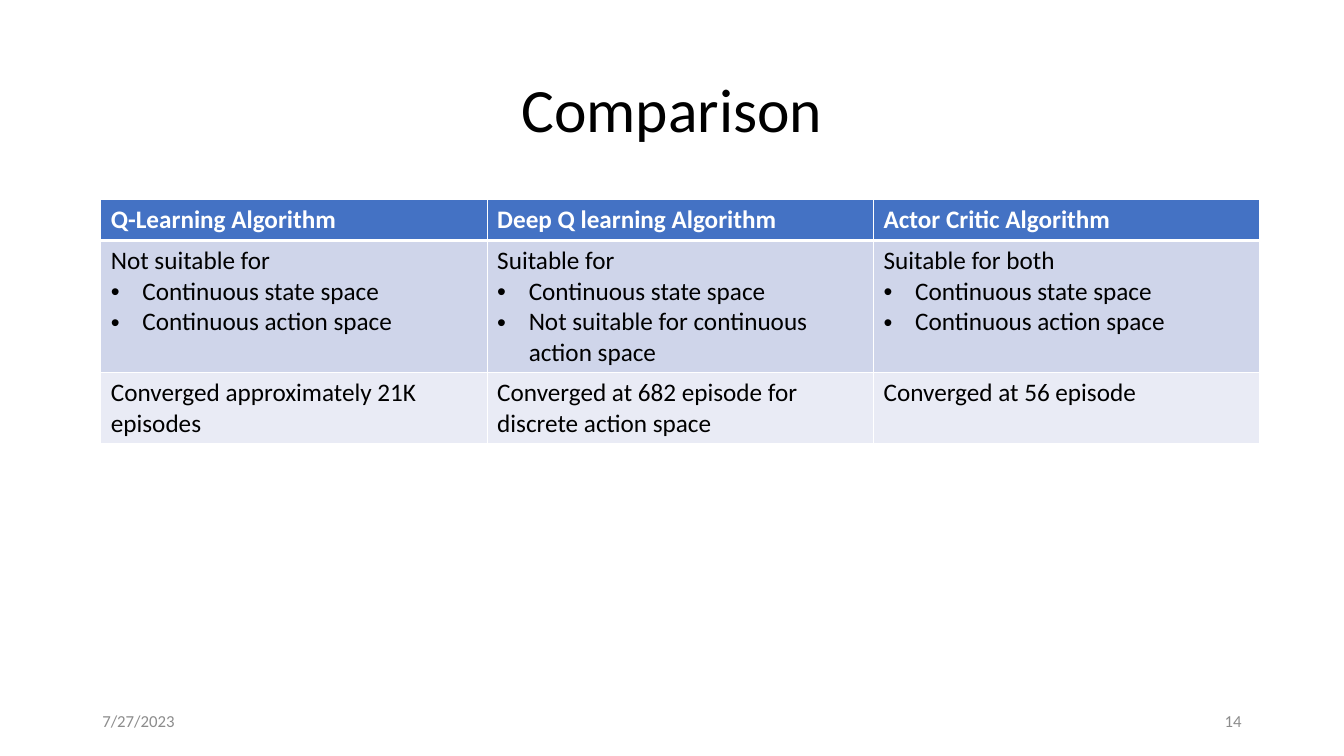
from lxml.etree import SubElement
from pptx import Presentation
from pptx.dml.color import RGBColor
from pptx.enum.text import MSO_ANCHOR, PP_ALIGN
from pptx.oxml.ns import qn
from pptx.util import Pt

PX = 9525
FONT = "Calibri"
BLACK = RGBColor(0x00, 0x00, 0x00)
WHITE = RGBColor(0xFF, 0xFF, 0xFF)
GRAY = RGBColor(0x8C, 0x8C, 0x8C)
HEADER_BLUE = RGBColor(0x44, 0x72, 0xC4)
BAND_DARK = RGBColor(0xCF, 0xD5, 0xEA)
BAND_LIGHT = RGBColor(0xE9, 0xEB, 0xF5)

BULLET = "• "
INDENT = 30
COLUMN_WIDTH = 368
ROW_HEIGHTS = [39, 126, 66]
ROW_FILLS = [HEADER_BLUE, BAND_DARK, BAND_LIGHT]
ROWS = [
    [
        ["Q-Learning Algorithm"],
        ["Deep Q learning Algorithm"],
        ["Actor Critic Algorithm"],
    ],
    [
        ["Not suitable for", "• Continuous state space", "• Continuous action space"],
        ["Suitable for", "• Continuous state space",
         "• Not suitable for continuous action space"],
        ["Suitable for both", "• Continuous state space", "• Continuous action space"],
    ],
    [
        ["Converged approximately 21K episodes"],
        ["Converged at 682 episode for discrete action space"],
        ["Converged at 56 episode"],
    ],
]


def px(n):
    return n * PX


def format_runs(p, size, color, bold=False):
    for r in p.runs:
        r.font.name = FONT
        r.font.size = Pt(size)
        r.font.bold = bold
        r.font.color.rgb = color


def add_text(s, text, x, y, w, h, size, color, align):
    tf = s.shapes.add_textbox(px(x), px(y), px(w), px(h)).text_frame
    tf.word_wrap = True
    tf.vertical_anchor = MSO_ANCHOR.MIDDLE
    tf.text = text
    p = tf.paragraphs[0]
    p.alignment = align
    format_runs(p, size, color)
    return p


def add_bullet(p):
    pPr = p._p.get_or_add_pPr()
    pPr.set("marL", str(px(INDENT)))
    pPr.set("indent", str(-px(INDENT)))
    SubElement(pPr, qn("a:buFont"), typeface="Arial")
    SubElement(pPr, qn("a:buChar"), char=BULLET.strip())


def set_borders(cell, widths):
    tcPr = cell._tc.get_or_add_tcPr()
    for side, width in widths.items():
        ln = SubElement(tcPr, qn(f"a:ln{side}"), w=str(Pt(width)))
        fill = SubElement(ln, qn("a:solidFill"))
        SubElement(fill, qn("a:srgbClr"), val=str(WHITE))


def fill_cell(cell, lines, row):
    header = row == 0
    set_borders(cell, {"L": 1, "R": 1, "T": 3 if row == 1 else 1, "B": 3 if header else 1})
    cell.fill.solid()
    cell.fill.fore_color.rgb = ROW_FILLS[row]
    tf = cell.text_frame
    tf.text = "\n".join(line.removeprefix(BULLET) for line in lines)
    for p, line in zip(tf.paragraphs, lines):
        if line.startswith(BULLET):
            add_bullet(p)
        format_runs(p, 18, WHITE if header else BLACK, header)


def add_comparison_table(s, x, y):
    columns = len(ROWS[0])
    frame = s.shapes.add_table(len(ROWS), columns, px(x), px(y),
                               px(COLUMN_WIDTH * columns), px(sum(ROW_HEIGHTS)))
    table = frame.table
    for column in table.columns:
        column.width = px(COLUMN_WIDTH)
    for i, cells in enumerate(ROWS):
        table.rows[i].height = px(ROW_HEIGHTS[i])
        for j, lines in enumerate(cells):
            fill_cell(table.cell(i, j), lines, i)


def main():
    prs = Presentation()
    prs.slide_width, prs.slide_height = px(1280), px(720)
    s = prs.slides.add_slide(prs.slide_layouts[6])
    title = add_text(s, "Comparison", 88, 38, 1104, 139, 44, BLACK, PP_ALIGN.CENTER)
    title.line_spacing = 0.9
    add_comparison_table(s, 96, 190)
    add_text(s, "7/27/2023", 88, 667, 288, 38, 12, GRAY, PP_ALIGN.LEFT)
    add_text(s, "14", 904, 667, 288, 38, 12, GRAY, PP_ALIGN.RIGHT)
    prs.save("out.pptx")


if __name__ == "__main__":
    main()
